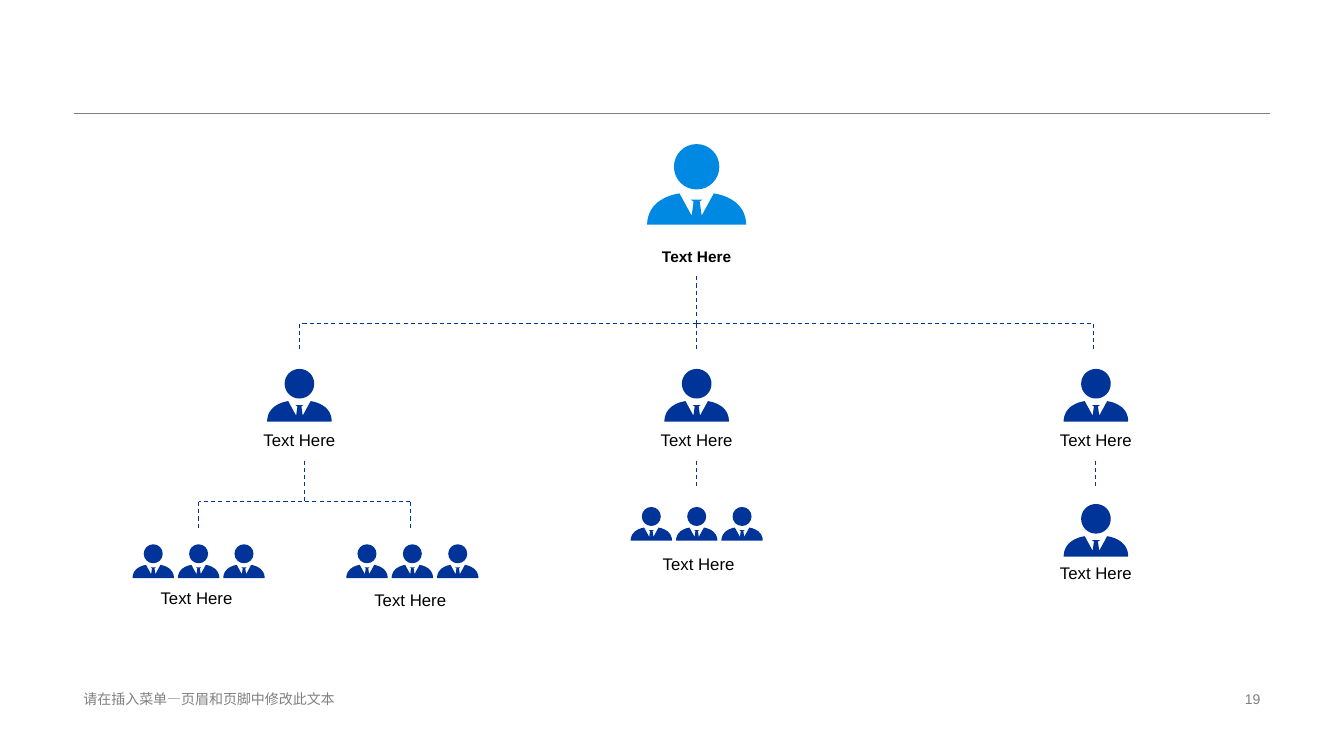
from lxml import etree
from pptx import Presentation
from pptx.dml.color import RGBColor
from pptx.enum.dml import MSO_LINE_DASH_STYLE as Dash
from pptx.enum.shapes import MSO_CONNECTOR as Conn
from pptx.enum.text import MSO_ANCHOR as Anchor, PP_ALIGN as Align
from pptx.oxml.ns import qn
from pptx.util import Inches, Pt

NAVY, BLUE, GREY, BLACK = "003499", "0089E2", "808080", "000000"
FULL = 0.98     # width of an icon of full size
# Points at full size; x is measured from the icon's middle, y from its top.
HEAD = [(0, 0),
        (0.125, 0), (0.225, 0.1), (0.225, 0.225),
        (0.225, 0.35), (0.125, 0.45), (0, 0.45),
        (-0.125, 0.45), (-0.225, 0.35), (-0.225, 0.225),
        (-0.225, 0.1), (-0.125, 0), (0, 0)]
HALF = [(0, 0.8), (0.49, 0.8),
        (0.49, 0.8), (0.5, 0.67), (0.39, 0.58),
        (0.29, 0.5), (0.17, 0.49), (0.17, 0.49),
        (0.05, 0.71), (0.03, 0.57), (0.06, 0.55)]
COAT = HALF + [(-x, y) for x, y in HALF[:0:-1]]
# Segments, counted through both rings, where a curve of three points begins.
CURVES = (0, 3, 6, 9, 13, 16, 26, 29)


def color(code):
    return RGBColor.from_string(code)


def bend(icon):
    """Join the three lines at each of CURVES into one cubic curve."""
    lines = list(icon._element.iter(qn("a:lnTo")))
    for start in CURVES:
        first, *others = lines[start:start + 3]
        cubic = etree.Element(qn("a:cubicBezTo"))
        first.addprevious(cubic)
        for item in (first, *others):
            cubic.append(item[0])
            item.getparent().remove(item)


def person(slide, x, top, width, code=NAVY):
    """Draw a head and jacket as one shape, centred on x."""
    scale = width / FULL
    head, coat = [[(Inches(x + px * scale), Inches(top + py * scale))
                   for px, py in ring] for ring in (HEAD, COAT)]
    pen = slide.shapes.build_freeform(*head[0])
    pen.add_line_segments(head[1:])
    pen.move_to(*coat[0])
    pen.add_line_segments(coat[1:])
    icon = pen.convert_to_shape()
    bend(icon)
    icon.shadow.inherit = False
    icon.fill.solid()
    icon.fill.fore_color.rgb = color(code)
    icon.line.fill.background()


def team(slide, x, top):
    for side in (-1, 0, 1):
        person(slide, x + side * 0.45, top, 0.41)


def text(slide, words, left, top, width, height, size=12, code=BLACK,
         bold=False, align=Align.CENTER, wrap=False):
    box = slide.shapes.add_textbox(
        Inches(left), Inches(top), Inches(width), Inches(height))
    frame = box.text_frame
    frame.word_wrap = wrap
    frame.vertical_anchor = Anchor.MIDDLE
    para = frame.paragraphs[0]
    para.alignment = align
    run = para.add_run()
    run.text = words
    font = run.font
    font.name, font.size, font.bold = "Arial", Pt(size), bold
    font.color.rgb = color(code)
    return box


def label(slide, x, top, height=0.22, **style):
    return text(slide, "Text Here", x - 1.1, top, 2.2, height, **style)


def line(slide, x1, y1, x2, y2, code=NAVY, weight=0.75, dash=Dash.DASH):
    link = slide.shapes.add_connector(
        Conn.STRAIGHT, Inches(x1), Inches(y1), Inches(x2), Inches(y2))
    link.line.color.rgb = color(code)
    link.line.width = Pt(weight)
    link.line.dash_style = dash
    etree.SubElement(link._element.spPr, qn("a:effectLst"))
    return link


def main():
    deck = Presentation()
    deck.slide_width, deck.slide_height = Inches(13.33), Inches(7.5)
    slide = deck.slides.add_slide(deck.slide_layouts[6])

    line(slide, 0.73, 1.12, 12.6, 1.12, code=GREY, weight=0.25, dash=Dash.SOLID)
    text(slide, "请在插入菜单—页眉和页脚中修改此文本", 0.73, 6.82, 4.53, 0.23,
         size=10, code=GREY, align=Align.LEFT, wrap=True)
    text(slide, "19", 9.42, 6.82, 3.18, 0.23,
         size=10, code=GREY, align=Align.RIGHT, wrap=True)

    # Head of the chart and the three branches
    left, mid, right = 2.97, 6.91, 10.87
    person(slide, mid, 1.43, FULL, BLUE)
    chief = label(slide, mid, 2.34, 0.4, size=11, bold=True)
    stem = line(slide, mid, 2.74, mid, 3.21)
    stem.begin_connect(chief, 2)
    for x, end in ((left, left), (mid, mid), (right, 10.85)):
        if x != mid:
            line(slide, mid, 3.21, end, 3.21)
        line(slide, end, 3.21, end, 3.49)
        person(slide, x, 3.66, 0.64)
        label(slide, x, 4.25)

    # Left branch: two teams
    line(slide, 3.02, 4.57, 3.02, 4.98)
    line(slide, 4.07, 4.98, 1.97, 4.98)
    for drop, x, top in ((1.97, 1.97, 5.82), (4.07, 4.09, 5.84)):
        line(slide, drop, 4.98, drop, 5.26)
        team(slide, x, 5.4)
        label(slide, x - 0.02, top)

    # Middle branch: one team; right branch: one person
    for x in (mid, right):
        line(slide, x, 4.57, x, 4.85)
    team(slide, mid, 5.03)
    label(slide, 6.93, 5.48)
    person(slide, right, 5, 0.64)
    label(slide, right, 5.57)

    deck.save("out.pptx")


if __name__ == "__main__":
    main()
